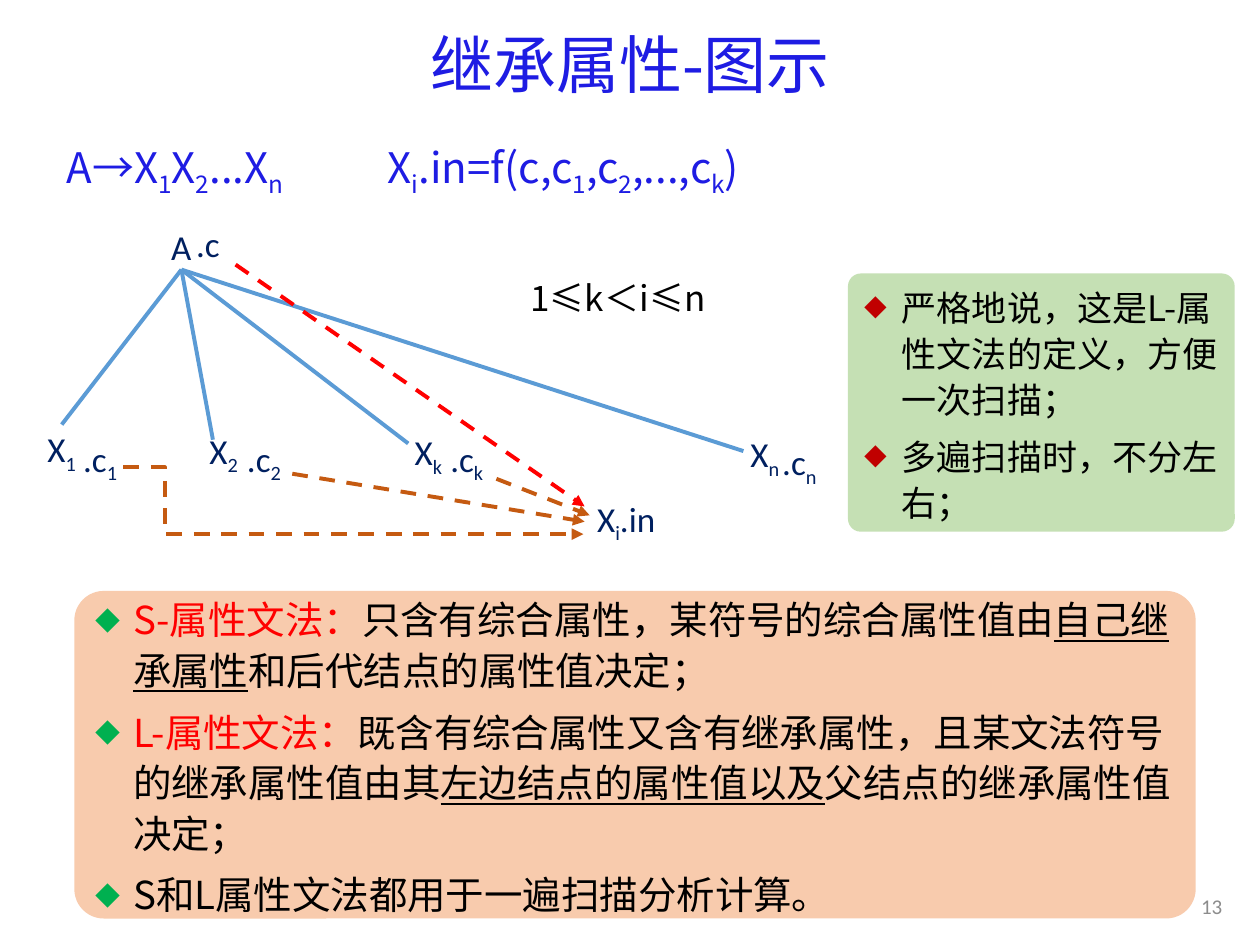
from dataclasses import dataclass

from lxml import etree
from pptx import Presentation
from pptx import util as u
from pptx.dml.color import RGBColor
from pptx.enum import dml, shapes, text
from pptx.oxml.ns import qn


@dataclass(frozen=True)
class Theme:
    title: str = "1E1CE3"
    node: str = "002060"
    ink: str = "000000"
    accent: str = "FF0000"
    tree: str = "5B9BD5"
    flow: str = "C55A11"
    muted: str = "8C8C8C"
    peach: str = "F8CBAD"
    mint: str = "C5E0B4"
    green: str = "00B050"
    crimson: str = "C00000"
    latin: str = "Calibri"
    cjk: str = "Noto Sans CJK SC"
    heading: str = "Noto Sans CJK JP"
    title_size: int = 36
    formula_size: int = 24
    rule_size: int = 22
    node_size: int = 20
    number_size: int = 12
    line_width: float = 2.25


THEME = Theme()
COLUMNS, ROWS = 100, 75
CENTER, LEFT, RIGHT = text.PP_ALIGN.CENTER, text.PP_ALIGN.LEFT, text.PP_ALIGN.RIGHT
TOP, BOTTOM, MIDDLE = 0, 2, text.MSO_ANCHOR.MIDDLE


def child(parent, tag, **attributes):
    return etree.SubElement(parent, qn(tag), {k: str(v) for k, v in attributes.items()})


def write(p, content, size=THEME.node_size, color=THEME.node, font=THEME.latin,
          align=CENTER, spacing=None, before=None, after=None, bullet=None, tab=None):
    """Pieces are split by |; a leading _ is subscript, ! is accent, ~ is underline."""
    p.alignment = align
    if spacing:
        p.line_spacing = spacing
    if before is not None:
        p.space_before = u.Pt(before)
    if after is not None:
        p.space_after = u.Pt(after)
    pPr = p._p.get_or_add_pPr()
    if bullet:
        pPr.set("marL", str(u.Inches(0.3)))
        pPr.set("indent", str(-u.Inches(0.3)))
        child(child(pPr, "a:buClr"), "a:srgbClr", val=bullet)
        child(pPr, "a:buSzPct", val=65000)
        child(pPr, "a:buFont", typeface=font)
        child(pPr, "a:buChar", char="◆")
    if tab:
        child(child(pPr, "a:tabLst"), "a:tab", pos=tab, algn="l")
    for piece in content.split("|"):
        mark = piece[0] if piece[0] in "_!~" else ""
        r = p.add_run()
        r.text = piece[len(mark):]
        r.font.size = u.Pt(size)
        r.font.color.rgb = RGBColor.from_string(THEME.accent if mark == "!" else color)
        r.font.name = font
        rPr = r._r.get_or_add_rPr()
        child(rPr, "a:ea", typeface=font)
        if mark == "_":
            rPr.set("baseline", "-25000")
        if mark == "~":
            r.font.underline = True


class Page:
    def __init__(self, prs, theme):
        self.theme = theme
        self.s = prs.slides.add_slide(prs.slide_layouts[6])
        self.column = prs.slide_width / COLUMNS
        self.row = prs.slide_height / ROWS

    def place(self, *grid):
        return [round(v * (self.row if i % 2 else self.column)) for i, v in enumerate(grid)]

    def label(self, content, at, anchor=MIDDLE, wrap=True, **style):
        sp = self.s.shapes.add_textbox(*self.place(*at))
        tf = sp.text_frame
        tf.word_wrap = wrap
        tf.vertical_anchor = anchor
        write(tf.paragraphs[0], content, **style)
        return sp

    def panel(self, items, at, fill, radius, bullet, size):
        sp = self.s.shapes.add_shape(shapes.MSO_SHAPE.ROUNDED_RECTANGLE, *self.place(*at))
        sp.adjustments[0] = radius
        sp.shadow.inherit = False
        sp.fill.solid()
        sp.fill.fore_color.rgb = RGBColor.from_string(fill)
        sp.line.fill.background()
        tf = sp.text_frame
        tf.word_wrap = True
        tf.vertical_anchor = MIDDLE
        for i, item in enumerate(items):
            p = tf.add_paragraph() if i else tf.paragraphs[0]
            write(p, item, size=size, color=self.theme.ink, font=self.theme.cjk,
                  align=LEFT, spacing=1.1, after=6, bullet=bullet)

    def line(self, start, end, color, arrow=False, bend=None):
        kind = shapes.MSO_CONNECTOR.ELBOW if bend else shapes.MSO_CONNECTOR.STRAIGHT
        sp = self.s.shapes.add_connector(kind, *self.place(*start, *end))
        sp.line.width = u.Pt(self.theme.line_width)
        sp.line.color.rgb = RGBColor.from_string(color)
        if arrow:
            sp.line.dash_style = dml.MSO_LINE.DASH
            child(sp.line._get_or_add_ln(), "a:tailEnd", type="triangle")
        spPr = sp._element.spPr
        if bend:
            guides = spPr.find(qn("a:prstGeom")).get_or_add_avLst()
            child(guides, "a:gd", name="adj1", fmla=f"val {round(bend * 100000)}")
        child(spPr, "a:effectLst")
        return sp


def main():
    prs = Presentation()
    prs.slide_width, prs.slide_height = u.Inches(10), u.Inches(7.5)
    t = THEME
    page = Page(prs, t)

    page.label("继承属性-图示", (6.9, 1.3, 86.2, 8.3), size=t.title_size,
               color=t.title, font=t.heading, spacing=0.9)
    page.label("A→X|_1|X|_2|...X|_n|\tX|_i|.in=f(c,c|_1|,c|_2|,...,c|_k|)",
               (4.3, 10.7, 88.1, 7.1), anchor=text.MSO_ANCHOR.TOP, size=t.formula_size,
               color=t.title, font=t.cjk, align=LEFT, before=6, after=6, tab=u.Inches(2.55))
    page.label("13", (93.7, 70.1, 4.3, 3.7), size=t.number_size, color=t.muted, align=RIGHT)
    page.label("1≤k＜i≤n", (39.8, 21.6, 18.5, 4.1), color=t.ink, font=t.cjk)

    root = page.label("A", (12.1, 17.8, 4.6, 3.6))
    first = page.label("X|_1", (1.2, 33.7, 7.4, 4.2))
    for content, at in (
        (".c", (13.5, 17.7, 6, 3.3)),
        ("X|_2", (14.3, 34, 6.9, 3.9)),
        ("X|_k", (28.9, 34.4, 10.2, 3.3)),
        ("X|_n", (55.6, 34.6, 10.2, 3.3)),
        ("X|_i|.in", (44.6, 39.7, 10.2, 3.3)),
    ):
        page.label(content, at)
    for index, left in (("1", 5.3), ("2", 18.3), ("k", 34.4)):
        page.label(f".c|_{index}", (left, 34.8, 5.3, 3.6))
    page.label(".c|_n", (61.1, 35, 5.2, 3.7), wrap=False, align=LEFT)

    for end in ((4.9, 33.7), (16.9, 34.9), (32.4, 35.2), (59, 35.8)):
        branch = page.line((14.4, 21.4), end, t.tree)
        branch.begin_connect(root, BOTTOM)
        if end == (4.9, 33.7):
            branch.end_connect(first, TOP)
    for start, end, color, bend in (
        ((18.7, 21), (46.4, 40.2), t.accent, None),
        ((39.4, 38), (46.8, 40.9), t.flow, None),
        ((23.2, 37.6), (46.4, 41.4), t.flow, None),
        ((9.8, 37.1), (46.3, 42.4), t.flow, 0.09),
    ):
        page.line(start, end, color, arrow=True, bend=bend)

    page.panel((
        "!S-属性文法：|只含有综合属性，某符号的综合属性值由|~自己继承属性|和后代结点的属性值决定；",
        "!L-属性文法：|既含有综合属性又含有继承属性，且某文法符号的继承属性值由其"
        "|~左边结点的属性值以及|父结点的继承属性值决定；",
        "S和L属性文法都用于一遍扫描分析计算。",
    ), (5.9, 46.9, 89, 26), t.peach, 0.09, t.green, t.rule_size)
    page.panel((
        "严格地说，这是L-属性文法的定义，方便一次扫描；",
        "多遍扫描时，不分左右；",
    ), (67.3, 21.7, 30.7, 20.5), t.mint, 0.05, t.crimson, t.node_size)

    prs.save("out.pptx")


if __name__ == "__main__":
    main()
